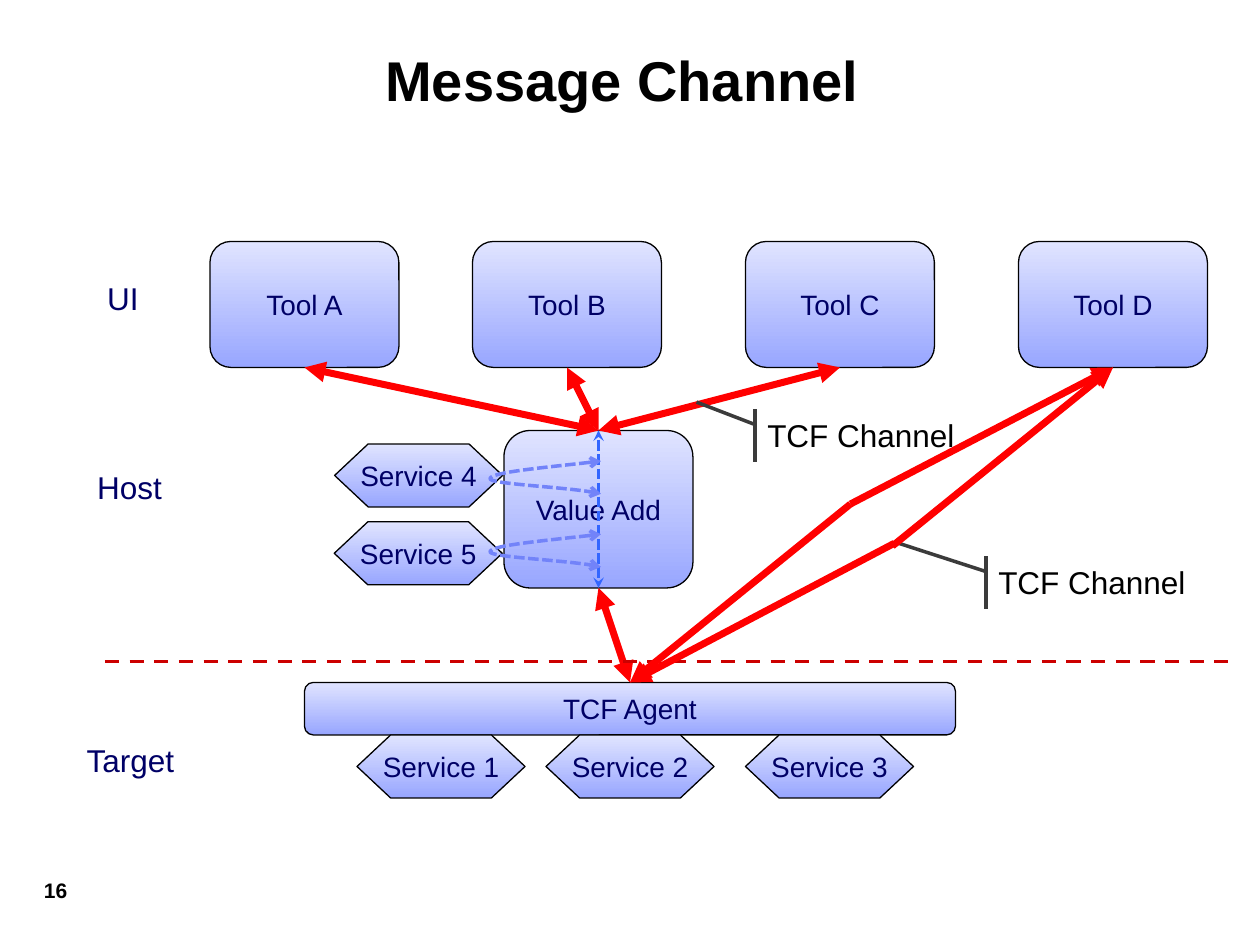
from lxml import etree
from pptx import Presentation
from pptx.dml.color import RGBColor
from pptx.enum.dml import MSO_LINE
from pptx.enum.shapes import MSO_CONNECTOR, MSO_SHAPE
from pptx.enum.text import MSO_ANCHOR, PP_ALIGN
from pptx.oxml.ns import qn
from pptx.util import Pt

ROUNDED = MSO_SHAPE.ROUNDED_RECTANGLE
HEXAGON = MSO_SHAPE.FLOWCHART_PREPARATION
CALLOUT = MSO_SHAPE.LINE_CALLOUT_1_ACCENT_BAR
STRAIGHT = MSO_CONNECTOR.STRAIGHT
DASH, SHORT_DASH = MSO_LINE.DASH, MSO_LINE.SQUARE_DOT
TOP, MIDDLE = MSO_ANCHOR.TOP, MSO_ANCHOR.MIDDLE
LEFT, CENTER = PP_ALIGN.LEFT, PP_ALIGN.CENTER
TOP_SITE, BOTTOM_SITE = 0, 2

FONT = "Arial"
COLORS = {
    "black": "000000", "navy": "000066", "light": "E0E4FF", "periwinkle": "98A6FF",
    "channel": "FF0000", "divider": "CC0000", "flow": "3366FF", "loop": "7283F9",
    "callout": "3B3B3B",
}


def rgb(name):
    return RGBColor.from_string(COLORS[name])


def set_text(sp, text, size, color="navy", bold=False, align=CENTER,
             anchor=MIDDLE, wrap=True, before=0, after=0):
    tf = sp.text_frame
    tf.word_wrap = wrap
    tf.vertical_anchor = anchor
    p = tf.paragraphs[0]
    p.text = text
    p.alignment = align
    p.space_before, p.space_after = Pt(before), Pt(after)
    p.font.name, p.font.size, p.font.bold = FONT, Pt(size), bold
    p.font.color.rgb = rgb(color)


def add_label(s, box, text, size, **style):
    sp = s.shapes.add_textbox(*map(Pt, box))
    set_text(sp, text, size, **style)


def add_block(s, kind, box, text, wrap=True):
    """Gradient shape with centred text."""
    sp = s.shapes.add_shape(kind, *map(Pt, box))
    sp.shadow.inherit = False
    sp.fill.gradient()
    sp.fill.gradient_angle = 270
    for stop, name in zip(sp.fill.gradient_stops, ("light", "periwinkle")):
        stop.color.rgb = rgb(name)
    style_line(sp.line, "black", 0.75)
    set_text(sp, text, 16, wrap=wrap, before=5, after=3)
    return sp


def style_line(line, color, width, dash=None, head=None, tail=None):
    line.color.rgb = rgb(color)
    line.width = Pt(width)
    if dash:
        line.dash_style = dash
    ln = line._get_or_add_ln()
    for tag, end in (("a:headEnd", head), ("a:tailEnd", tail)):
        if end:
            etree.SubElement(ln, qn(tag)).set("type", end)


def add_line(s, start, end, color, width, **style):
    """Straight line; each end is an (x, y) point or a (shape, site) pair."""
    cx = s.shapes.add_connector(STRAIGHT, 0, 0, 0, 0)
    if isinstance(start[0], (int, float)):
        cx.begin_x, cx.begin_y = map(Pt, start)
    else:
        cx.begin_connect(*start)
    if isinstance(end[0], (int, float)):
        cx.end_x, cx.end_y = map(Pt, end)
    else:
        cx.end_connect(*end)
    style_line(cx.line, color, width, **style)
    etree.SubElement(cx._element.spPr, qn("a:effectLst"))


def add_loop(s, points):
    """Dashed Bezier curve: a start point, then three points per segment."""
    pts = [(Pt(x), Pt(y)) for x, y in points]
    fb = s.shapes.build_freeform(*pts[0])
    fb.add_line_segments(pts[1:], close=False)
    sp = fb.convert_to_shape()
    sp.shadow.inherit = False
    sp.fill.background()
    style_line(sp.line, "loop", 2, dash=SHORT_DASH, head="arrow", tail="arrow")
    segments = list(sp._element.iter(qn("a:lnTo")))
    for i in range(0, len(segments), 3):
        curve = etree.SubElement(segments[i].getparent(), qn("a:cubicBezTo"))
        for segment in segments[i:i + 3]:
            curve.append(segment[0])
            segment.getparent().remove(segment)


def add_callout(s, left, top, text, adjustments):
    sp = s.shapes.add_shape(CALLOUT, Pt(left), Pt(top), Pt(108), Pt(30))
    sp.shadow.inherit = False
    for i, value in enumerate(adjustments):
        sp.adjustments[i] = value
    sp.fill.background()
    style_line(sp.line, "callout", 2)
    set_text(sp, text, 18, color="black", anchor=TOP, wrap=False, before=5.6, after=3.4)


def main():
    prs = Presentation()
    prs.slide_width, prs.slide_height = Pt(720), Pt(540)
    s = prs.slides.add_slide(prs.slide_layouts[6])

    # Title
    add_label(s, (18, 18, 684, 54), "Message Channel ", 32, color="black", bold=True)

    # Tools, value add and agent
    tools = [add_block(s, ROUNDED, (x, 138, 108, 72), f"Tool {name}")
             for name, x in zip("ABCD", (120, 270, 426, 582))]
    agent = add_block(s, ROUNDED, (174, 390, 372, 30), "TCF Agent")
    value_add = add_block(s, ROUNDED, (288, 246, 108, 90), "Value Add")

    # Services on the target and on the host
    for number, x, y in ((1, 204, 420), (2, 312, 420), (3, 426, 420),
                         (4, 191.2, 253.7), (5, 191, 298.2)):
        add_block(s, HEXAGON, (x, y, 96, 36), f"Service {number}", wrap=False)

    # Channels through the value add
    links = [((tool, BOTTOM_SITE), (value_add, TOP_SITE)) for tool in tools[:3]]
    links.append(((value_add, BOTTOM_SITE), (agent, TOP_SITE)))
    for start, end in links:
        add_line(s, start, end, "channel", 4, head="triangle", tail="triangle")

    # Boundary between host and target
    add_line(s, (60, 378), (708, 378), "divider", 2, dash=DASH)

    # Message flow inside the value add
    add_line(s, (value_add, TOP_SITE), (value_add, BOTTOM_SITE), "flow", 2,
             dash=SHORT_DASH, head="stealth", tail="stealth")
    loop = ((343.4, 263.5), (312.5, 267.1), (280, 270), (280, 273.6),
            (280, 276.5), (329, 278.6), (343.4, 282.2))
    for dy in (0, 41.8):
        add_loop(s, [(x, y + dy) for x, y in loop])

    # Layer labels, centred on their column
    for text, center, y, width in (("UI", 70.2, 156, 36), ("Host", 74, 264, 60),
                                   ("Target", 74.5, 420, 72)):
        add_label(s, (center - width / 2, y, width, 29), text, 18, anchor=TOP,
                  wrap=False, before=5.6, after=3.4)

    # Channel callouts
    add_callout(s, 438, 234, "TCF Channel", (0.29, -0.06, -0.14, -0.37))
    add_callout(s, 570, 318, "TCF Channel", (0.29, -0.06, -0.26, -0.53))

    # Direct channels between Tool D and the agent, each with a bend
    for to_agent, to_tool in (((486, 288), (486, 288)), ((511, 310.5), (510, 312))):
        add_line(s, to_agent, (agent, TOP_SITE), "channel", 4, tail="triangle")
        add_line(s, to_tool, (tools[3], BOTTOM_SITE), "channel", 4, tail="triangle")

    # Slide number
    add_label(s, (18, 498, 90, 36), "16", 12, color="black", bold=True,
              align=LEFT, anchor=TOP)

    prs.save("out.pptx")


if __name__ == "__main__":
    main()
